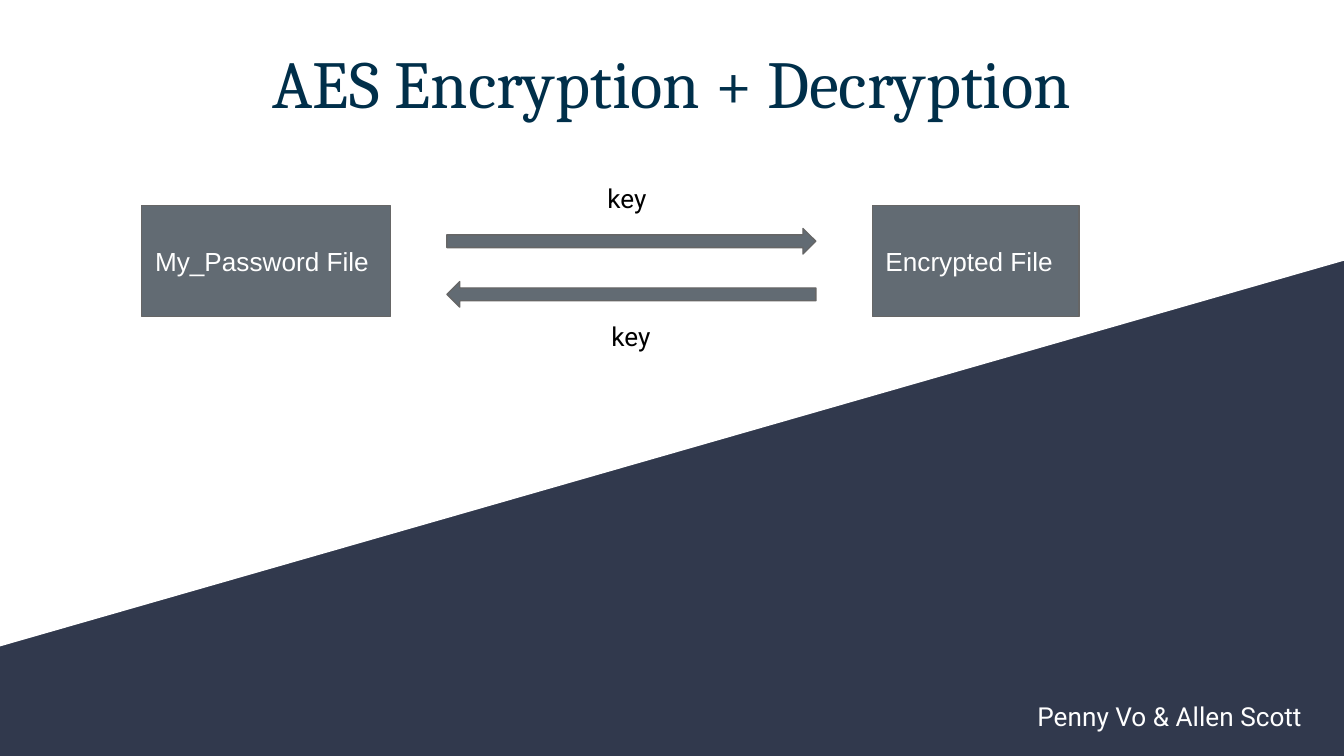
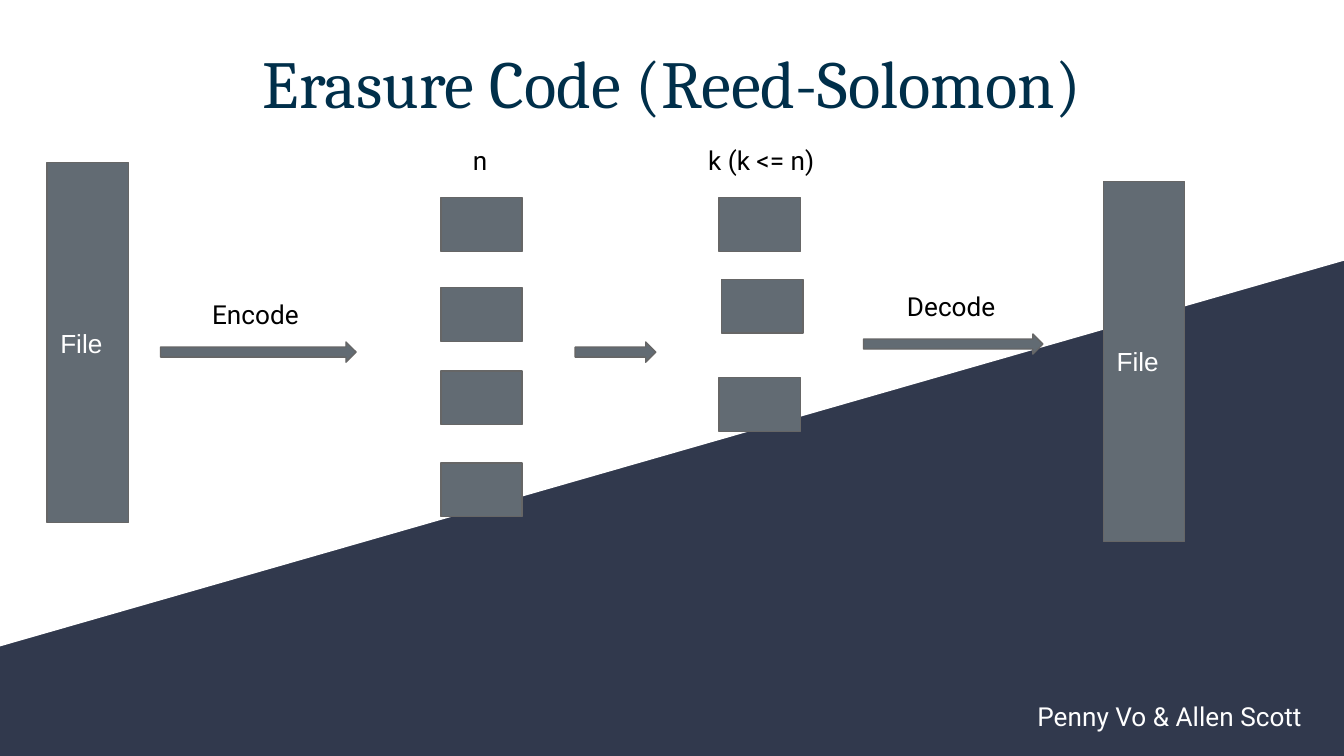
import dataclasses

import pptx
import pptx.dml.color
import pptx.enum.shapes
import pptx.enum.text
import pptx.util

PX = 4572  # EMU in one px, 200 px to the inch
KIND = pptx.enum.shapes.MSO_SHAPE
ALIGN = pptx.enum.text.PP_ALIGN
ANCHOR = pptx.enum.text.MSO_ANCHOR
FIT = pptx.enum.text.MSO_AUTO_SIZE


@dataclasses.dataclass(frozen=True)
class Theme:
    navy: str = "31394D"
    white: str = "FFFFFF"
    black: str = "000000"
    title: str = "002F4A"
    slate: str = "626B73"
    edge: str = "666666"
    head: str = "Cambria"
    body: str = "Roboto"
    block: str = "Arial"
    big: int = 36
    small: int = 14
    line: float = 0.75
    inset: int = 20


@dataclasses.dataclass(frozen=True)
class Box:
    x: int
    y: int
    w: int
    h: int

    def sub(self, x, y, w, h):
        """Return a box placed from this box's top left corner."""
        return Box(self.x + x, self.y + y, w, h)

    def emu(self):
        return [v * PX for v in (self.x, self.y, self.w, self.h)]


THEME = Theme()
PAGE = Box(0, 0, 2000, 1125)


def color(code):
    return pptx.dml.color.RGBColor.from_string(code)


def write(frame, text, font=THEME.body, size=THEME.small, ink=THEME.black,
          align=ALIGN.LEFT, anchor=ANCHOR.TOP, fit=FIT.NONE):
    frame.word_wrap = True
    frame.auto_size = fit
    frame.vertical_anchor = anchor
    frame.margin_left = frame.margin_right = THEME.inset * PX
    frame.margin_top = frame.margin_bottom = THEME.inset * PX
    para = frame.paragraphs[0]
    para.alignment = align
    run = para.add_run()
    run.text = text
    run.font.name = font
    run.font.size = pptx.util.Pt(size)
    run.font.color.rgb = color(ink)


def label(slide, box, text, **style):
    frame = slide.shapes.add_textbox(*box.emu()).text_frame
    write(frame, text, **{"fit": FIT.SHAPE_TO_FIT_TEXT, **style})


def solid(slide, kind, box):
    shape = slide.shapes.add_shape(kind, *box.emu())
    shape.shadow.inherit = False
    shape.fill.solid()
    shape.fill.fore_color.rgb = color(THEME.slate)
    shape.line.color.rgb = color(THEME.edge)
    shape.line.width = pptx.util.Pt(THEME.line)
    return shape


def block(slide, box, text=None):
    shape = solid(slide, KIND.RECTANGLE, box)
    if text:
        write(shape.text_frame, text, font=THEME.block, ink=THEME.white,
              anchor=ANCHOR.MIDDLE)


def arrow(slide, box, turn=0):
    solid(slide, KIND.RIGHT_ARROW, box).rotation = turn


def base(deck, box, title):
    """Add a slide with the slanted band, title and footer."""
    slide = deck.slides.add_slide(deck.slide_layouts[6])
    slide.background.fill.solid()
    slide.background.fill.fore_color.rgb = color(THEME.navy)

    # White band with a slanted lower edge
    right = box.x + box.w
    outline = slide.shapes.build_freeform(box.x, box.y, scale=PX)
    outline.add_line_segments([(right, box.y), (right, box.y + 388),
                               (box.x, box.y + 962)])
    band = outline.convert_to_shape()
    band.shadow.inherit = False
    band.fill.solid()
    band.fill.fore_color.rgb = color(THEME.white)
    band.line.fill.background()

    # Title and authors
    label(slide, box.sub(68, 42, 1864, 164), title, font=THEME.head,
          size=THEME.big, ink=THEME.title, align=ALIGN.CENTER, fit=FIT.NONE)
    label(slide, box.sub(1524, 1022, 450, 88), "Penny Vo & Allen Scott",
          ink=THEME.white)
    return slide


def cipher(slide, box):
    """Draw the plain and encrypted files with the key both ways."""
    block(slide, box.sub(0, 54, 370, 165), "My_Password File")
    block(slide, box.sub(1087, 54, 308, 165), "Encrypted File")
    for x, y, top, turn in ((673, 0, 88, 0), (679, 205, 167, 180)):
        arrow(slide, box.sub(454, top, 549, 38), turn)
        label(slide, box.sub(x, y, 110, 88), "key")


def stack(slide, box, spots):
    """Draw one column of equal pieces at the given offsets."""
    for x, y in spots:
        block(slide, box.sub(x, y, 121, 80), None)


def step(slide, box, text):
    """Draw a captioned arrow along the foot of the box."""
    arrow(slide, box.sub(0, box.h - 30, box.w, 30))
    label(slide, box.sub((box.w - 176) // 2, 0, 176, 88), text)


def erasure(slide, box):
    """Draw the file, its n pieces, the k kept pieces and the result."""
    # Whole files
    for x, y in ((0, 48), (1572, 76)):
        block(slide, box.sub(x, y, 121, 536), "File")

    # Pieces
    stack(slide, box.sub(586, 100, 121, 475),
          [(0, 0), (0, 134), (0, 258), (0, 395)])
    stack(slide, box.sub(1000, 100, 125, 348), [(0, 0), (4, 122), (0, 268)])
    label(slide, box.sub(614, 1, 78, 88), "n")
    label(slide, box.sub(964, 1, 204, 88), "k (k <= n)")

    # Steps
    step(slide, box.sub(169, 230, 291, 115), "Encode")
    arrow(slide, box.sub(786, 315, 120, 30))
    step(slide, box.sub(1215, 218, 267, 115), "Decode")


def main():
    deck = pptx.Presentation()
    deck.slide_width, deck.slide_height = PAGE.w * PX, PAGE.h * PX
    cipher(base(deck, PAGE, "AES Encryption + Decryption"),
           PAGE.sub(211, 252, 1395, 293))
    erasure(base(deck, PAGE, "Erasure Code (Reed-Solomon)"),
            PAGE.sub(70, 194, 1693, 612))
    deck.save("out.pptx")


if __name__ == "__main__":
    main()
